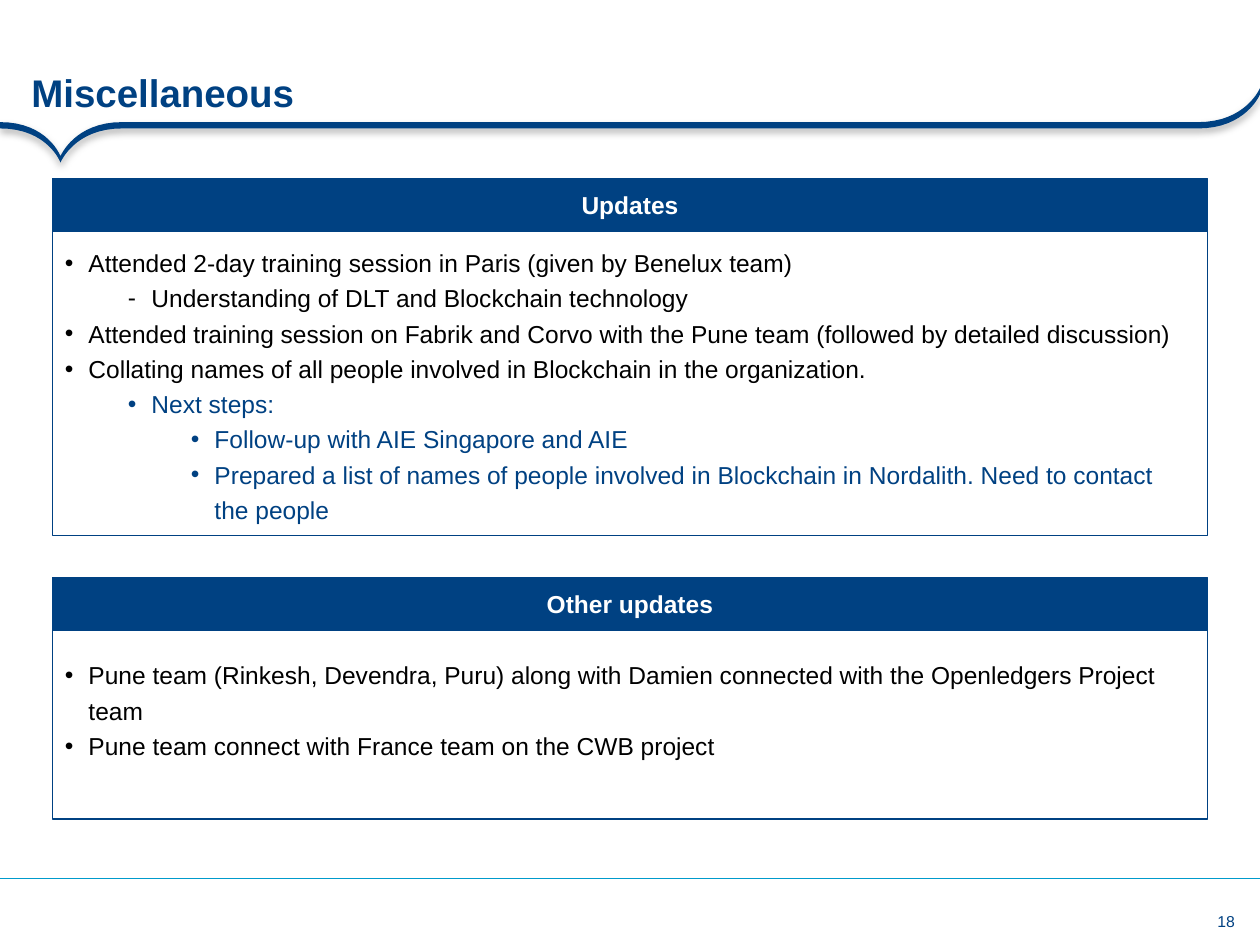
import pptx
import pptx.util
import pptx.dml.color
import pptx.enum.shapes
import pptx.enum.text
import pptx.oxml
import pptx.oxml.ns
from dataclasses import dataclass

Pt = pptx.util.Pt
ANCHOR = pptx.enum.text.MSO_ANCHOR
ALIGN = pptx.enum.text.PP_ALIGN


@dataclass(frozen=True)
class Theme:
    navy: str = "004182"
    sky: str = "009BCC"
    black: str = "000000"
    white: str = "FFFFFF"
    font: str = "Arial"
    title_size: float = 22
    text_size: float = 14
    number_size: float = 9


THEME = Theme()
WIDTH, HEIGHT = 720, 540
PANEL_LEFT, PANEL_WIDTH, HEADER_HEIGHT = 30, 660, 30
INDENT, LEVEL_STEP = 13.5, 36
RIBBON_THICKNESS = 3.6
RIBBON_CURVES = [
    [(0, 69.8), (27.4, 69.8), (34.6, 89.3), (34.6, 89.3)],
    [(34.6, 89.3), (34.6, 89.3), (42.5, 69.8), (69.8, 69.8)],
    [(684.7, 69.8), (712, 69.8), (720, 50.4), (720, 50.4)],
]
SHADOW = (
    '<a:effectLst %s><a:outerShdw blurRad="50800" dist="25400" dir="5400000">'
    '<a:srgbClr val="000000"><a:alpha val="31000"/></a:srgbClr>'
    "</a:outerShdw></a:effectLst>"
)
PANELS = [
    (102, 174, 3.6, "Updates", [
        (0, "•", "black", "Attended 2-day training session in Paris (given by Benelux team)"),
        (1, "-", "black", "Understanding of DLT and Blockchain technology"),
        (0, "•", "black", "Attended training session on Fabrik and Corvo with the Pune team "
                          "(followed by detailed discussion)"),
        (0, "•", "black", "Collating names of all people involved in Blockchain in the organization."),
        (1, "•", "navy", "Next steps:"),
        (2, "•", "navy", "Follow-up with AIE Singapore and AIE"),
        (2, "•", "navy", "Prepared a list of names of people involved in Blockchain in Nordalith. "
                         "Need to contact the people"),
    ]),
    (330, 108, 23, "Other updates", [
        (0, "•", "black", "Pune team (Rinkesh, Devendra, Puru) along with Damien connected "
                          "with the Openledgers Project team"),
        (0, "•", "black", "Pune team connect with France team on the CWB project"),
    ]),
]


def rgb(value):
    return pptx.dml.color.RGBColor.from_string(value)


def apply_format(target, values):
    for name, value in values.items():
        setattr(target, name, value)


def set_frame(shape, anchor, margins):
    left, top, right, bottom = margins
    apply_format(shape.text_frame, {
        "word_wrap": True, "vertical_anchor": anchor,
        "margin_left": Pt(left), "margin_top": Pt(top),
        "margin_right": Pt(right), "margin_bottom": Pt(bottom),
    })


def write_text(paragraph, text, size, color, bold=False, **layout):
    run = paragraph.add_run()
    run.text = text
    apply_format(run.font, {"name": THEME.font, "size": Pt(size), "bold": bold})
    run.font.color.rgb = rgb(color)
    apply_format(paragraph, layout)


def add_label(slide, bounds, anchor, margins, text, size, color, **layout):
    shape = slide.shapes.add_textbox(*map(Pt, bounds))
    set_frame(shape, anchor, margins)
    write_text(shape.text_frame.paragraphs[0], text, size, color, **layout)


def add_box(slide, top, height, bottom_margin=3.6, fill=None):
    shape = slide.shapes.add_shape(
        pptx.enum.shapes.MSO_SHAPE.RECTANGLE,
        Pt(PANEL_LEFT), Pt(top), Pt(PANEL_WIDTH), Pt(height))
    shape.shadow.inherit = False
    if fill:
        shape.fill.solid()
        shape.fill.fore_color.rgb = rgb(fill)
    else:
        shape.fill.background()
    shape.line.color.rgb = rgb(THEME.navy)
    shape.line.width = Pt(1)
    set_frame(shape, ANCHOR.MIDDLE, (7.2, 3.6, 7.2, bottom_margin))
    return shape


def set_bullet(paragraph, level, character):
    properties = paragraph._p.get_or_add_pPr()
    properties.set("marL", str(Pt(INDENT + level * LEVEL_STEP)))
    properties.set("indent", str(-Pt(INDENT)))
    for tag, name, value in (("buFont", "typeface", THEME.font), ("buChar", "char", character)):
        properties.append(pptx.oxml.parse_xml(
            f'<a:{tag} {pptx.oxml.ns.nsdecls("a")} {name}="{value}"/>'))


def add_panel(slide, top, body_height, bottom_margin, heading, items):
    body = add_box(slide, top + HEADER_HEIGHT, body_height, bottom_margin)
    frame = body.text_frame
    for index, (level, bullet, color, text) in enumerate(items):
        paragraph = frame.add_paragraph() if index else frame.paragraphs[0]
        write_text(paragraph, text, THEME.text_size, getattr(THEME, color),
                   level=level, line_spacing=1.2, alignment=ALIGN.LEFT)
        set_bullet(paragraph, level, bullet)
    header = add_box(slide, top, HEADER_HEIGHT, fill=THEME.navy)
    write_text(header.text_frame.paragraphs[0], heading, THEME.text_size, THEME.white,
               bold=True, alignment=ALIGN.CENTER)


def curve_points(controls, steps=16):
    for step in range(steps + 1):
        t = step / steps
        weights = ((1 - t) ** 3, 3 * t * (1 - t) ** 2, 3 * t * t * (1 - t), t ** 3)
        yield tuple(sum(w * point[axis] for w, point in zip(weights, controls))
                    for axis in (0, 1))


def add_ribbon(slide):
    upper = [point for curve in RIBBON_CURVES for point in curve_points(curve)]
    lower = [(x, y + RIBBON_THICKNESS) for x, y in reversed(upper)]
    outline = [(Pt(x), Pt(y)) for x, y in upper + lower]
    builder = slide.shapes.build_freeform(*outline[0])
    builder.add_line_segments(outline[1:], close=True)
    shape = builder.convert_to_shape()
    shape.fill.solid()
    shape.fill.fore_color.rgb = rgb(THEME.navy)
    shape.line.fill.background()
    shape._element.spPr.append(pptx.oxml.parse_xml(SHADOW % pptx.oxml.ns.nsdecls("a")))


def add_footer_line(slide):
    line = slide.shapes.add_connector(
        pptx.enum.shapes.MSO_CONNECTOR.STRAIGHT, Pt(WIDTH), Pt(502), Pt(0), Pt(502))
    line.line.color.rgb = rgb(THEME.sky)
    line.line.width = Pt(0.75)
    line._element.spPr.append(pptx.oxml.parse_xml(
        f'<a:effectLst {pptx.oxml.ns.nsdecls("a")}/>'))


def main():
    presentation = pptx.Presentation()
    apply_format(presentation, {"slide_width": Pt(WIDTH), "slide_height": Pt(HEIGHT)})
    slide = presentation.slides.add_slide(presentation.slide_layouts[6])
    add_ribbon(slide)
    add_label(slide, (686, 521, 19.6, 11), ANCHOR.MIDDLE, (0, 0, 0, 0), "18",
              THEME.number_size, THEME.navy, alignment=ALIGN.RIGHT)
    add_footer_line(slide)
    add_label(slide, (18, 16, 684, 54), ANCHOR.BOTTOM, (0, 3.6, 0, 3.6), "Miscellaneous",
              THEME.title_size, THEME.navy, bold=True, line_spacing=0.9)
    for panel in PANELS:
        add_panel(slide, *panel)
    presentation.save("out.pptx")


main()
